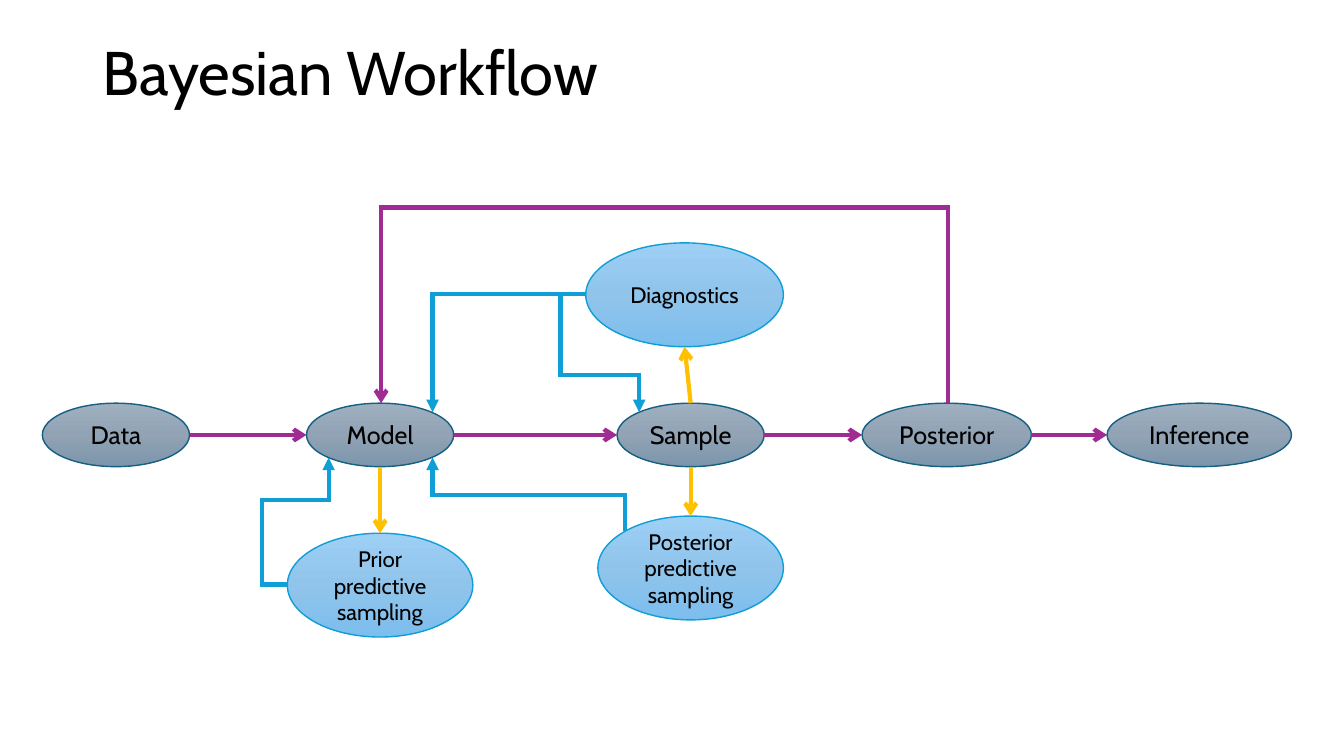
import copy
import pptx
import pptx.util
import pptx.dml.color
import pptx.enum.shapes
import pptx.enum.text
import pptx.oxml
import pptx.oxml.ns
from lxml import etree

Inches = pptx.util.Inches
qn = pptx.oxml.ns.qn
PURPLE, YELLOW, BLUE, NAVY = "A02B93", "FFC000", "0F9ED5", "156082"


def color(hex_text):
    return pptx.dml.color.RGBColor.from_string(hex_text)


def style_arrow(arrow, hex_text, head):
    arrow.line.color.rgb = color(hex_text)
    arrow.line.width = pptx.util.Pt(3)
    properties = arrow._element.spPr
    outline = properties.find(qn("a:ln"))
    etree.SubElement(outline, qn("a:miter"), lim="800000")
    etree.SubElement(outline, qn("a:tailEnd"), type=head)
    etree.SubElement(properties, qn("a:effectLst"))


deck = pptx.Presentation()
deck.slide_width, deck.slide_height = Inches(13.33), Inches(7.5)
page = deck.slides.add_slide(deck.slide_layouts[5])

title = page.shapes.title
title.left, title.top = Inches(0.92), Inches(0.02)
title.width, title.height = Inches(11.5), Inches(1.45)
title.text_frame.text = "Bayesian Workflow"
title.text_frame.vertical_anchor = pptx.enum.text.MSO_ANCHOR.MIDDLE
para = title.text_frame.paragraphs[0]
para.alignment = pptx.enum.text.PP_ALIGN.LEFT
para.line_spacing = 0.9
para.font.name = "Cabin"
para.font.size = pptx.util.Pt(44)
para.font.color.rgb = color("000000")

row_top, row_height, check_height = 4, 0.63, 1.03
row_middle, row_bottom = row_top + row_height / 2, row_top + row_height
main_style = (row_height, 18, NAVY, ("9EAFBF", "91A3B4", "7C95AB"))
check_style = (check_height, 16, BLUE, ("9ECFF5", "90C4EB", "7CBEED"))
stages = [
    ("Data", 0.42, row_top, 1.46, main_style),
    ("Model", 3.04, row_top, 1.46, main_style),
    ("Sample", 6.12, row_top, 1.46, main_style),
    ("Posterior", 8.55, row_top, 1.68, main_style),
    ("Inference", 10.98, row_top, 1.83, main_style),
    ("Prior predictive sampling", 2.85, 5.29, 1.84, check_style),
    ("Diagnostics", 5.81, 2.41, 1.96, check_style),
    ("Posterior predictive sampling", 5.93, 5.12, 1.84, check_style),
]
for label, left, top, width, (height, size, edge, shades) in stages:
    oval = page.shapes.add_shape(
        pptx.enum.shapes.MSO_SHAPE.OVAL,
        Inches(left), Inches(top), Inches(width), Inches(height))
    oval.shadow.inherit = False
    oval.fill.gradient()
    oval.fill.gradient_angle = 270
    first_stop = next(oval._element.spPr.iter(qn("a:gs")))
    first_stop.addnext(copy.deepcopy(first_stop))
    for index, (stop, shade) in enumerate(zip(oval.fill.gradient_stops, shades)):
        stop.position = index / 2
        stop.color.rgb = color(shade)
    oval.line.color.rgb = color(edge)
    oval.line.width = pptx.util.Pt(1)
    oval.text_frame.text = label
    oval.text_frame.word_wrap = True
    oval.text_frame.vertical_anchor = pptx.enum.text.MSO_ANCHOR.MIDDLE
    para = oval.text_frame.paragraphs[0]
    para.alignment = pptx.enum.text.PP_ALIGN.CENTER
    para.font.name = "Cabin"
    para.font.size = pptx.util.Pt(size)
    para.font.color.rgb = color("000000")

main_stages = stages[:5]
straight_arrows = [
    (before[1] + before[3], row_middle, after[1], row_middle, PURPLE)
    for before, after in zip(main_stages, main_stages[1:])
]
straight_arrows += [
    (3.77, row_bottom, 3.77, 5.29, YELLOW),
    (6.85, row_top, 6.79, 2.41 + check_height, YELLOW),
    (6.85, row_bottom, 6.85, 5.12, YELLOW),
]
for start_x, start_y, end_x, end_y, shade in straight_arrows:
    arrow = page.shapes.add_connector(
        pptx.enum.shapes.MSO_CONNECTOR.STRAIGHT,
        Inches(start_x), Inches(start_y), Inches(end_x), Inches(end_y))
    style_arrow(arrow, shade, "arrow")

bent_arrows = [
    ([(2.85, 5.8), (2.6, 5.8), (2.6, 4.96), (3.26, 4.96), (3.26, 4.54)], BLUE, "triangle"),
    ([(5.81, 2.92), (5.56, 2.92), (5.56, 3.72), (6.34, 3.72), (6.34, 4.09)], BLUE, "triangle"),
    ([(5.81, 2.92), (4.29, 2.92), (4.29, 4.09)], BLUE, "triangle"),
    ([(6.2, 5.27), (6.2, 4.91), (4.29, 4.91), (4.29, 4.54)], BLUE, "triangle"),
    ([(9.4, row_top), (9.4, 2.06), (3.78, 2.06), (3.78, row_top)], PURPLE, "arrow"),
]
for corners, shade, head in bent_arrows:
    points = [(Inches(x), Inches(y)) for x, y in corners]
    builder = page.shapes.build_freeform(*points[0])
    builder.add_line_segments(points[1:], close=False)
    arrow = builder.convert_to_shape()
    arrow.fill.background()
    style_arrow(arrow, shade, head)

deck.save("out.pptx")
